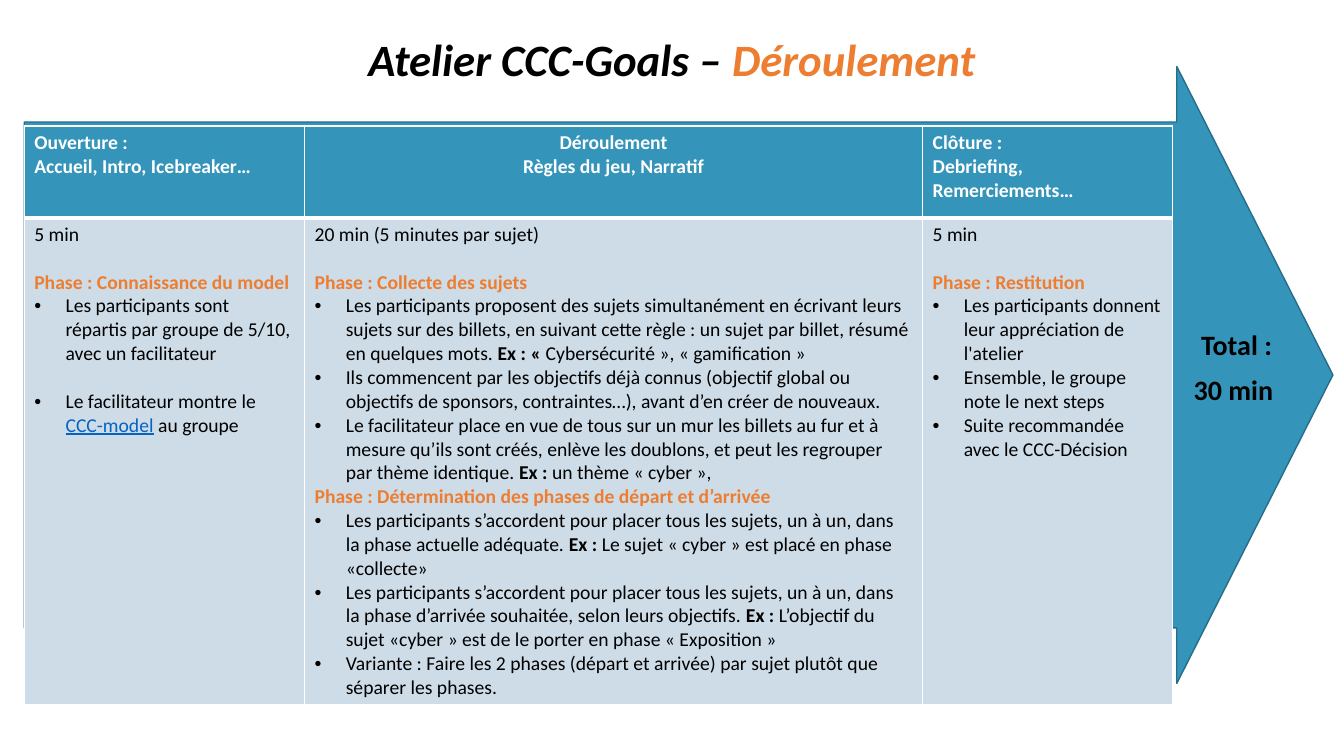
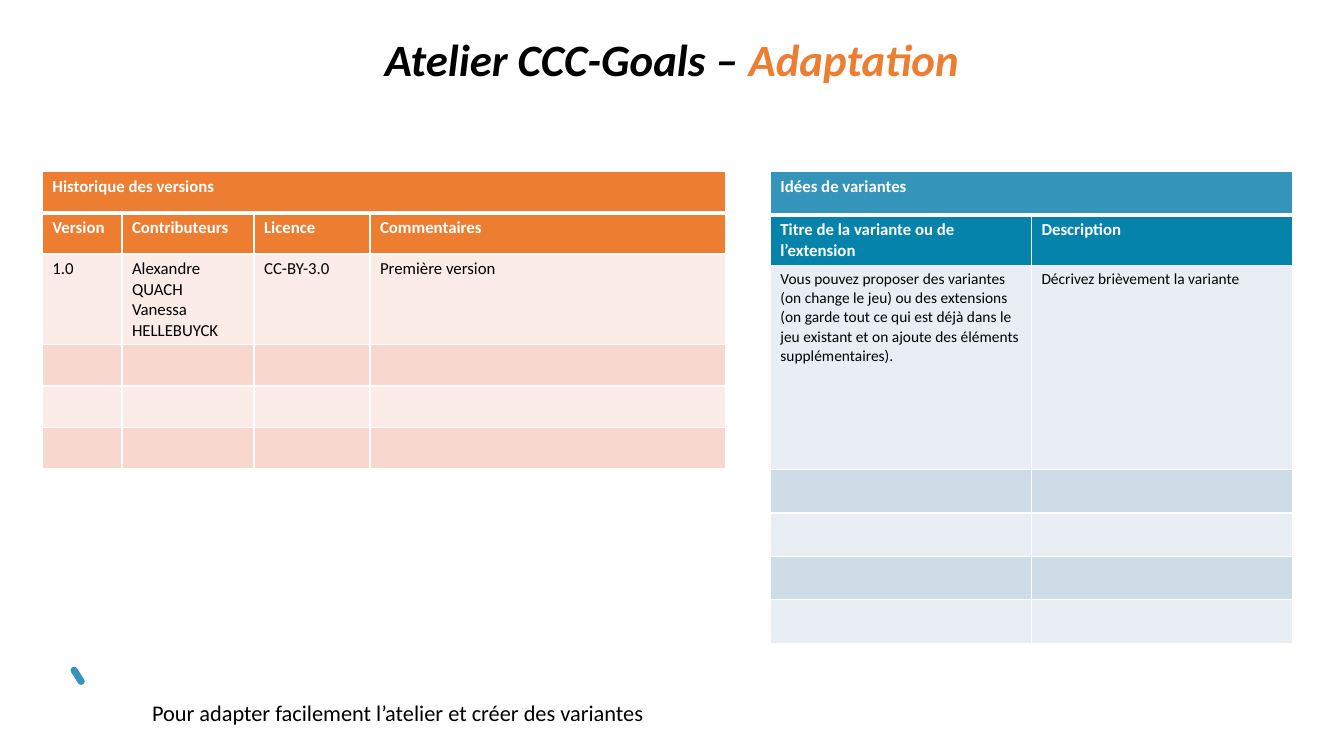
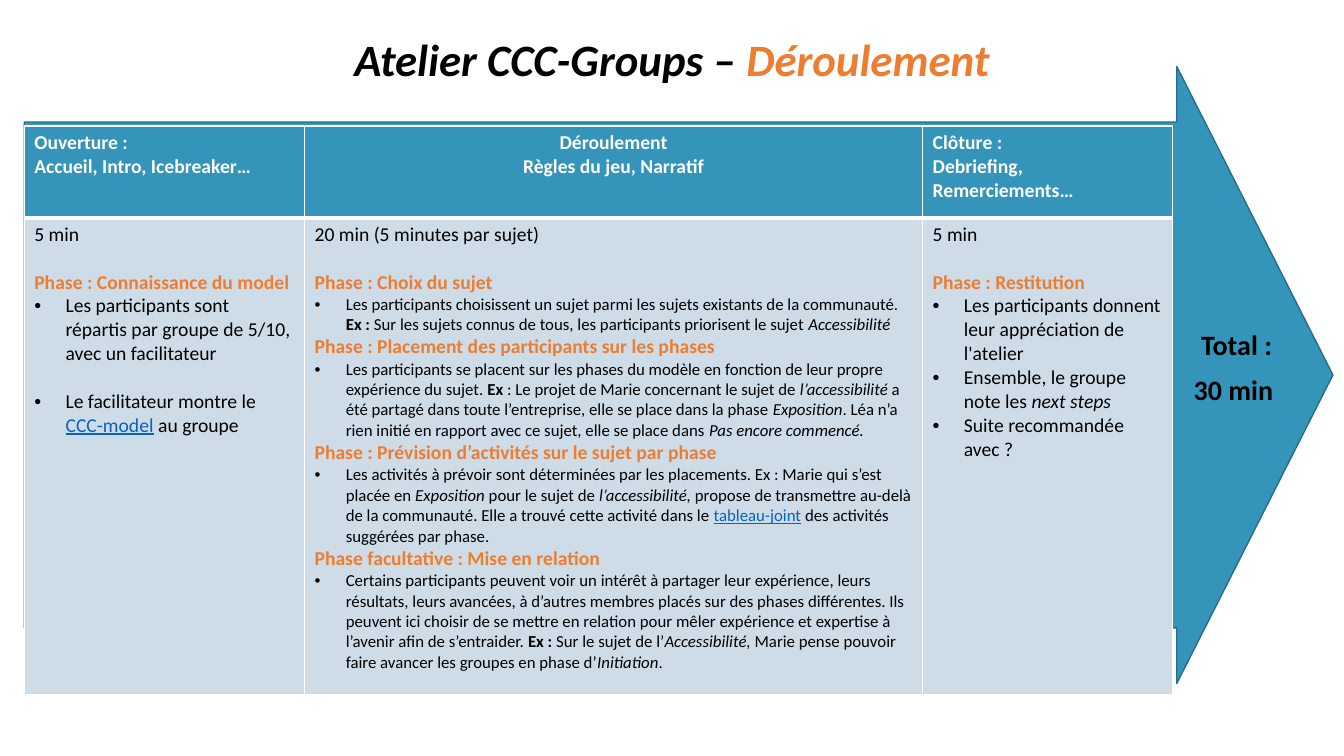
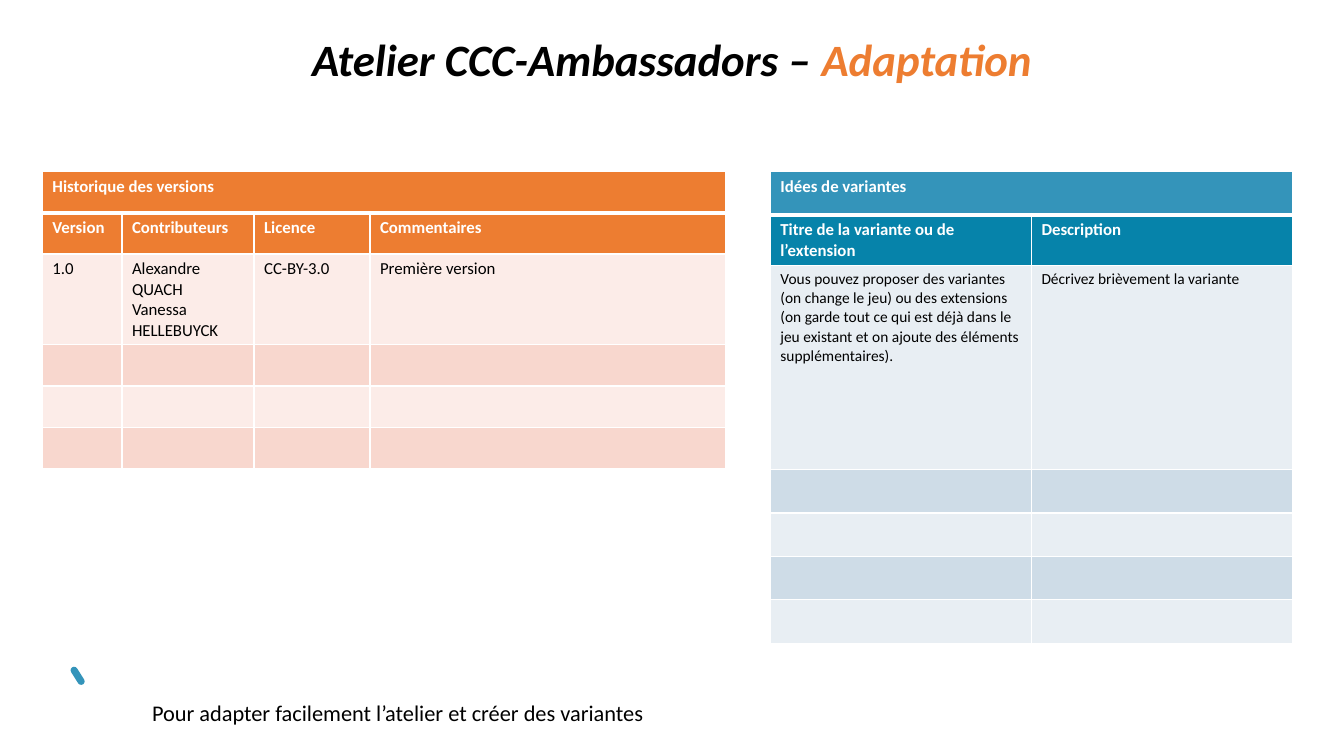
from pptx import Presentation
from pptx.dml.color import RGBColor
from pptx.enum.shapes import MSO_SHAPE
from pptx.enum.text import PP_ALIGN
from pptx.oxml.ns import qn
from pptx.util import Inches, Pt
from lxml import etree

ARROW, PILL = MSO_SHAPE.RIGHT_ARROW, MSO_SHAPE.ROUNDED_RECTANGLE
LEFT, MID = PP_ALIGN.LEFT, PP_ALIGN.CENTER
FACE = "Calibri"
WIDE, HIGH = 13.33, 7.5
LINE = 17  # one line of 14 pt text, in points
HUES = {
    "black": "000000", "white": "FFFFFF", "orange": "ED7D31", "link": "0563C1",
    "blue": "3494BA", "edge": "266D8A", "deep": "0683AA",
    "pale": "E8EEF3", "mist": "CEDCE7", "blush": "FCECE8", "rose": "F8D7CE",
}

# Paragraph styles: size, colour, bold, bullet
STYLES = {
    "label": (14, "white", True, False),
    "time": (14, "black", False, False),
    "phase": (14, "orange", True, False),
    "item": (14, "black", False, True),
    "small": (12, "black", False, True),
    "head": (12, "white", True, False),
    "body": (12, "black", False, False),
    "note": (11, "black", False, False),
    "title": (32, "black", True, False),
    "total": (20, "black", True, False),
    "foot": (16, "black", False, False),
}

# Content: (style, text, blank lines before); *bold*, _italic_, ~link~, ^orange^
HEADS = [
    ["Ouverture :", "Accueil, Intro, Icebreaker…"],
    ["Déroulement", "Règles du jeu, Narratif"],
    ["Clôture :", "Debriefing, Remerciements…"],
]
OPENING = [
    ("time", "5 min"),
    ("phase", "Phase : Connaissance du model", 1),
    ("item", "Les participants sont répartis par groupe de 5/10, avec un facilitateur"),
    ("item", "Le facilitateur montre le ~CCC-model~ au groupe", 1),
]
GOALS = [
    ("time", "20 min (5 minutes par sujet)"),
    ("phase", "Phase : Collecte des sujets", 1),
    ("item", "Les participants proposent des sujets simultanément en écrivant leurs sujets sur "
             "des billets, en suivant cette règle : un sujet par billet, résumé en quelques "
             "mots. *Ex : « *Cybersécurité », « gamification »"),
    ("item", "Ils commencent par les objectifs déjà connus (objectif global ou objectifs de "
             "sponsors, contraintes…), avant d’en créer de nouveaux."),
    ("item", "Le facilitateur place en vue de tous sur un mur les billets au fur et à mesure "
             "qu’ils sont créés, enlève les doublons, et peut les regrouper par thème "
             "identique. *Ex : *un thème « cyber »,"),
    ("phase", "Phase : Détermination des phases de départ et d’arrivée"),
    ("item", "Les participants s’accordent pour placer tous les sujets, un à un, dans la phase "
             "actuelle adéquate. *Ex : *Le sujet « cyber » est placé en phase «collecte»"),
    ("item", "Les participants s’accordent pour placer tous les sujets, un à un, dans la phase "
             "d’arrivée souhaitée, selon leurs objectifs. *Ex : *L’objectif du sujet «cyber » "
             "est de le porter en phase « Exposition »"),
    ("item", "Variante : Faire les 2 phases (départ et arrivée) par sujet plutôt que séparer "
             "les phases."),
]
GROUPS = [
    ("time", "20 min (5 minutes par sujet)"),
    ("phase", "Phase : Choix du sujet", 1),
    ("small", "Les participants choisissent un sujet parmi les sujets existants de la "
              "communauté. *Ex : *Sur les sujets connus de tous, les participants priorisent "
              "le sujet _Accessibilité_"),
    ("phase", "Phase : Placement des participants sur les phases"),
    ("small", "Les participants se placent sur les phases du modèle en fonction de leur propre "
              "expérience du sujet. *Ex *: Le projet de Marie concernant le sujet de "
              "_l’accessibilité_ a été partagé dans toute l’entreprise, elle se place dans la "
              "phase _Exposition_. Léa n’a rien initié en rapport avec ce sujet, elle se place "
              "dans _Pas encore commencé._"),
    ("phase", "Phase : Prévision d’activités sur le sujet par phase"),
    ("small", "Les activités à prévoir sont déterminées par les placements. Ex : Marie qui "
              "s’est placée en _Exposition _pour le sujet de _l’accessibilité, _propose de "
              "transmettre au-delà de la communauté. Elle a trouvé cette activité dans le "
              "~tableau-joint~ des activités suggérées par phase."),
    ("phase", "Phase facultative : Mise en relation"),
    ("small", "Certains participants peuvent voir un intérêt à partager leur expérience, leurs "
              "résultats, leurs avancées, à d’autres membres placés sur des phases "
              "différentes. Ils peuvent ici choisir de se mettre en relation pour mêler "
              "expérience et expertise à l’avenir afin de s’entraider. *Ex : *Sur le sujet de "
              "l’_Accessibilité, _Marie pense pouvoir faire avancer les groupes en phase "
              "d’_Initiation_."),
]


def closing(step, follow):
    return [
        ("time", "5 min"),
        ("phase", "Phase : Restitution", 1),
        ("item", "Les participants donnent leur appréciation de l'atelier"),
        ("item", f"Ensemble, le groupe note {step}"),
        ("item", f"Suite recommandée avec {follow}"),
    ]


IDEAS = [
    ["Idées de variantes"],
    ["Titre de la variante ou de l’extension", "Description"],
    ["Vous pouvez proposer des variantes (on change le jeu) ou des extensions (on garde tout ce "
     "qui est déjà dans le jeu existant et on ajoute des éléments supplémentaires).",
     "Décrivez brièvement la variante"],
]
PAST = [
    ["Historique des versions"],
    ["Version", "Contributeurs", "Licence", "Commentaires"],
    ["1.0", "Alexandre QUACH\nVanessa HELLEBUYCK", "CC-BY-3.0", "Première version"],
]
# Grids: left, top, column widths, row heights
IDEA_GRID = (7.64, 1.7, [2.59] * 2, [0.43, 0.47, 2.03] + [0.43] * 4)
PAST_GRID = (0.42, 1.7, [0.79, 1.31, 1.15, 3.53], [0.41, 0.41, 0.9] + [0.41] * 3)

SLIDES = [
    ("Goals", "Déroulement", GOALS, closing("le next steps", "le CCC-Décision"), 4.76),
    ("Goals", "Adaptation"),
    ("Groups", "Déroulement", GROUPS, closing("les _next steps_", "?"), 4.73),
    ("Ambassadors", "Adaptation"),
]


# Text
def hue(name):
    return RGBColor.from_string(HUES[name])


def split(text):
    """Yield (chunk, mark) pairs; a mark opens and closes its span."""
    mark, chunk = "", ""
    for char in text:
        if char == mark or (not mark and char in "*_~^"):
            if chunk:
                yield chunk, mark
            mark, chunk = ("" if mark else char), ""
        else:
            chunk += char
    if chunk:
        yield chunk, mark


def write(frame, paras, align=LEFT, lead=None, gap=0):
    for i, (style, text, *skip) in enumerate(paras):
        size, color, bold, dot = STYLES[style]
        para = frame.add_paragraph() if i else frame.paragraphs[0]
        para.alignment = align
        if lead:
            para.line_spacing = lead
        if i and (gap or skip):
            para.space_before = Pt(gap or LINE * skip[0])
        if dot:
            props = para._p.get_or_add_pPr()
            props.set("marL", str(Inches(0.31)))
            props.set("indent", str(-Inches(0.31)))
            etree.SubElement(props, qn("a:buFont"), typeface="Arial")
            etree.SubElement(props, qn("a:buChar"), char="•")
        font = para.font
        font.name, font.size, font.bold = FACE, Pt(size), bold
        font.italic = style == "title"
        font.color.rgb = hue(color)
        for chunk, mark in split(text):
            run = para.add_run()
            run.text = chunk
            if mark == "*":
                run.font.bold = True
            elif mark == "_":
                run.font.italic = True
            elif mark == "~":
                run.font.underline = True
                run.font.color.rgb = hue("link")
            elif mark == "^":
                run.font.color.rgb = hue("orange")


def box(slide, at, paras, **look):
    frame = slide.shapes.add_textbox(*map(Inches, at)).text_frame
    frame.word_wrap = True
    write(frame, paras, **look)


def shape(slide, kind, at, fill, edge=None):
    form = slide.shapes.add_shape(kind, *map(Inches, at))
    form.shadow.inherit = False
    form.fill.solid()
    form.fill.fore_color.rgb = hue(fill)
    if edge:
        form.line.color.rgb = hue(edge)
        form.line.width = Pt(1)
    else:
        form.line.fill.background()
    return form


# Tables
def paint(cell, fill, row):
    props = cell._tc.get_or_add_tcPr()
    thick = {"T": 3 if row == 1 else 1, "B": 1 if row else 3}
    for side in "LRTB":
        line = etree.SubElement(props, qn(f"a:ln{side}"), w=str(Pt(thick.get(side, 1))))
        solid = etree.SubElement(line, qn("a:solidFill"))
        etree.SubElement(solid, qn("a:srgbClr"), val=HUES["white"])
    cell.fill.solid()
    cell.fill.fore_color.rgb = hue(fill)


def grid(slide, left, top, cols, rows, fills):
    at = map(Inches, (left, top, sum(cols), sum(rows)))
    table = slide.shapes.add_table(len(rows), len(cols), *at).table
    table.first_row = table.horz_banding = False
    for col, width in zip(table.columns, cols):
        col.width = Inches(width)
    for r, (row, height) in enumerate(zip(table.rows, rows)):
        row.height = Inches(height)
        for cell in row.cells:
            paint(cell, fills[r], r)
    return table


def log(slide, place, texts, tops, bands, note):
    count = len(place[3]) - len(tops)
    fills = tops + [bands[i % 2] for i in range(count)]
    table = grid(slide, *place, fills)
    table.cell(0, 0).merge(table.cell(0, len(place[2]) - 1))
    for r, row in enumerate(texts):
        style = "head" if r < len(tops) else note
        for c, text in enumerate(row):
            write(table.cell(r, c).text_frame, [(style, t) for t in text.split("\n")])


# Slide kinds
def agenda(slide, middle, last, height):
    arrow = shape(slide, ARROW, (0.24, 0.66, 12.98, 6.12), "blue", "edge")
    arrow.adjustments[0], arrow.adjustments[1] = 0.82, 0.253
    table = grid(slide, 0.24, 1.25, [2.78, 6.13, 2.48], [0.91, height], ["blue", "mist"])
    for c, (head, body) in enumerate(zip(HEADS, (OPENING, middle, last))):
        write(table.cell(0, c).text_frame, [("label", t) for t in head],
              align=MID if c == 1 else LEFT)
        write(table.cell(1, c).text_frame, body)
    box(slide, (11.64, 3.24, 1.25, 1.11), [("total", "Total :"), ("total", "30 min ")],
        align=MID, lead=0.9, gap=10)


def adapt(slide):
    pill = shape(slide, PILL, (0.67, 6.67, 0.2, 0.07), "blue")
    pill.adjustments[0] = 0.5
    pill.rotation = 57.7
    log(slide, IDEA_GRID, IDEAS, ["blue", "deep"], ["pale", "mist"], "note")
    log(slide, PAST_GRID, PAST, ["orange"] * 2, ["blush", "rose"], "body")
    box(slide, (1.41, 6.92, 11.64, 0.39),
        [("foot", "Pour adapter facilement l’atelier et créer des variantes")], lead=0.9)


def main():
    deck = Presentation()
    deck.slide_width, deck.slide_height = Inches(WIDE), Inches(HIGH)
    for name, topic, *plan in SLIDES:
        slide = deck.slides.add_slide(deck.slide_layouts[6])
        if plan:
            agenda(slide, *plan)
        else:
            adapt(slide)
        box(slide, (0, 0.27, WIDE, 0.64),
            [("title", f"Atelier CCC-{name} – ^{topic}^")], align=MID)
    deck.save("out.pptx")


if __name__ == "__main__":
    main()
